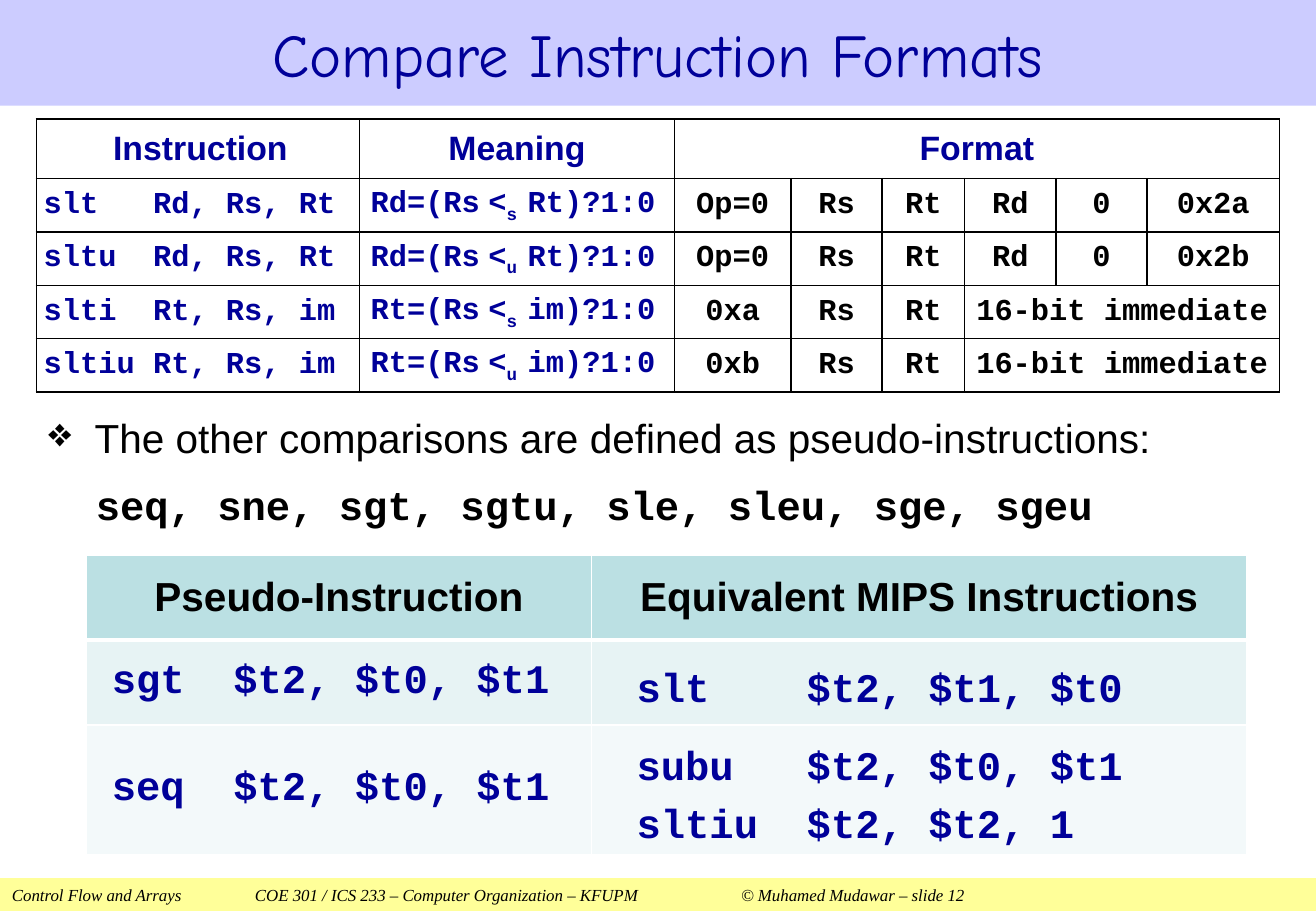
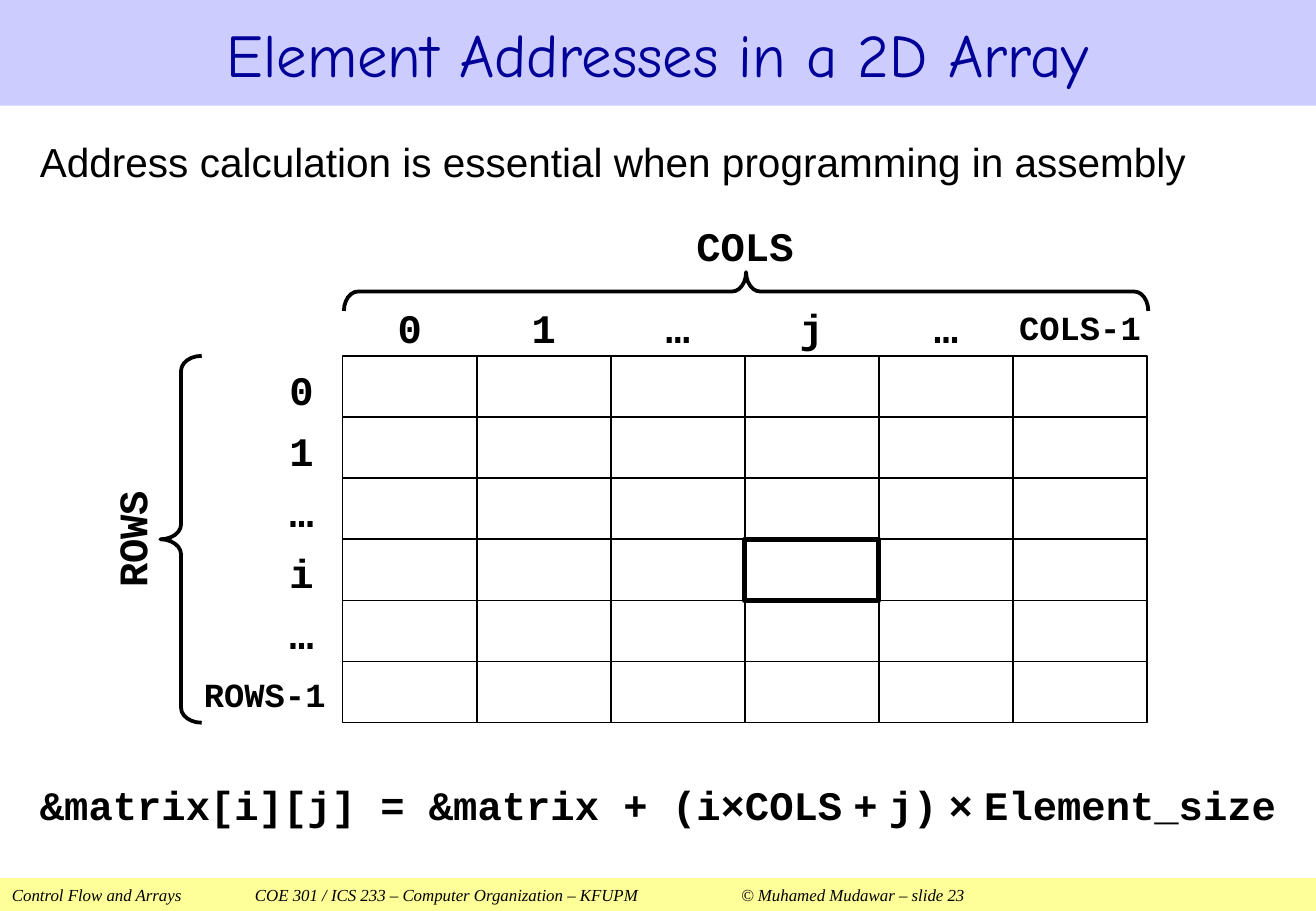
from pptx import Presentation
from pptx.dml.color import RGBColor
from pptx.enum.shapes import MSO_SHAPE
from pptx.enum.text import MSO_ANCHOR, PP_ALIGN
from pptx.oxml.xmlchemy import OxmlElement
from pptx.util import Inches, Pt

# Shared look
WIDTH, HEIGHT = 10.83, 7.5
COLORS = {"navy": "000099", "black": "000000", "white": "FFFFFF",
          "title band": "CCCCFF", "footer band": "FFFF99",
          "header": "BBE0E3", "odd row": "E7F3F4", "even row": "F3F9FA"}
SANS, CODE, TITLE, SERIF = "Arial", "Courier New", "Comic Neue", "Times New Roman"
LEFT, CENTER, RIGHT = PP_ALIGN.LEFT, PP_ALIGN.CENTER, PP_ALIGN.RIGHT
LEADING = 1.1
FOOTER = "Control Flow and Arrays\tCOE 301 / ICS 233 – Computer Organization – KFUPM\t© Muhamed Mudawar – slide {}"
FOOTER_TABS = (2, 6)

# Slide 12: the last entry of a row spans the columns that remain
FORMAT_COLUMNS = (2.66, 2.59, 0.96, 0.75, 0.68, 0.75, 0.75, 1.09)
FORMAT_ROWS = (0.49, 0.44, 0.44, 0.44, 0.44)
FORMAT_HEADER = ["Instruction", "Meaning", "Format"]
FORMATS = [
    ("slt   Rd, Rs, Rt", ("Rd=(Rs", "s ", "Rt)?1:0"), ["Op=0", "Rs", "Rt", "Rd", "0", "0x2a"]),
    ("sltu  Rd, Rs, Rt", ("Rd=(Rs", "u ", "Rt)?1:0"), ["Op=0", "Rs", "Rt", "Rd", "0", "0x2b"]),
    ("slti  Rt, Rs, im", ("Rt=(Rs", "s ", "im)?1:0"), ["0xa", "Rs", "Rt", "16-bit immediate"]),
    ("sltiu Rt, Rs, im", ("Rt=(Rs", "u ", "im)?1:0"), ["0xb", "Rs", "Rt", "16-bit immediate"]),
]
PSEUDO_COLUMNS, PSEUDO_ROWS = (4.16, 5.39), (0.7, 0.7, 1.07)
PSEUDO_HEADER = ["Pseudo-Instruction", "Equivalent MIPS Instructions"]
PSEUDO = ["sgt  $t2, $t0, $t1", "seq  $t2, $t0, $t1"]
EQUIVALENTS = [(5.36, 0.5, ["slt    $t2, $t1, $t0"]),
               (6, 0.95, ["subu   $t2, $t0, $t1", "sltiu  $t2, $t2, 1"])]
OTHERS = ["The other comparisons are defined as pseudo-instructions:",
          "seq, sne, sgt, sgtu, sle, sleu, sge, sgeu"]

# Slide 23
INTRO = "Address calculation is essential when programming in assembly"
FORMULA = ["&matrix[i][j] = &matrix + (i×COLS", " ", "+", " ", "j)", " ", "×", " ", "Element_size"]
COLUMN_LABELS = ["0", "1", "…", "j", "…", "COLS-1"]
ROW_LABELS = ["0", "1", "…", "i", "…", "ROWS-1"]
GRID = (2.82, 2.93, 6.62, 3.02)
ROW_LABEL_LEFT, ROW_LABEL_WIDTH = 1.66, 1.02


def color(name):
    return RGBColor.from_string(COLORS[name])


def style(paragraph, size, font, ink, bold=False, italic=False):
    for run in paragraph.runs:
        run.font.size, run.font.name = Pt(size), font
        run.font.bold, run.font.italic = bold, italic
        run.font.color.rgb = color(ink)


def set_margins(target, margins):
    (target.margin_left, target.margin_top,
     target.margin_right, target.margin_bottom) = map(Inches, margins)


def write(frame, lines, size, font, ink="black", bold=False, italic=False,
          align=LEFT, anchor=MSO_ANCHOR.TOP, margins=(0.1, 0.05, 0.1, 0.05),
          gap=0, leading=LEADING):
    frame.word_wrap = True
    frame.vertical_anchor = anchor
    set_margins(frame, margins)
    for number, line in enumerate(lines):
        paragraph = frame.add_paragraph() if number else frame.paragraphs[0]
        paragraph.text = line
        paragraph.alignment = align
        paragraph.line_spacing = leading
        if number:
            paragraph.space_before = Pt(gap)
        style(paragraph, size, font, ink, bold, italic)


def add_box(slide, at, fill=None, line=0, kind=MSO_SHAPE.RECTANGLE):
    shape = slide.shapes.add_shape(kind, *map(Inches, at))
    shape.shadow.inherit = False
    if fill:
        shape.fill.solid()
        shape.fill.fore_color.rgb = color(fill)
    else:
        shape.fill.background()
    if line:
        shape.line.width = Pt(line)
        shape.line.color.rgb = color("black")
    else:
        shape.line.fill.background()
    return shape


def add_text(slide, at, lines, *looks, **options):
    frame = slide.shapes.add_textbox(*map(Inches, at)).text_frame
    write(frame, lines, *looks, **options)
    return frame


def add_tabs(paragraph, stops):
    tabs = OxmlElement("a:tabLst")
    for stop in stops:
        tab = OxmlElement("a:tab")
        tab.set("pos", str(Inches(stop)))
        tab.set("algn", "l")
        tabs.append(tab)
    paragraph._p.get_or_add_pPr().append(tabs)


def add_bullet(paragraph, symbol, indent):
    properties = paragraph._p.get_or_add_pPr()
    properties.set("marL", str(Inches(indent)))
    properties.set("indent", str(-Inches(indent)))
    bullet = OxmlElement("a:buChar")
    bullet.set("char", symbol)
    properties.append(bullet)


def start_slide(presentation, title, number):
    slide = presentation.slides.add_slide(presentation.slide_layouts[6])
    footer = add_box(slide, (0, 7.23, WIDTH, 0.27), "footer band").text_frame
    write(footer, [FOOTER.format(number)], 10, SERIF, italic=True,
          anchor=MSO_ANCHOR.MIDDLE, leading=1)
    add_tabs(footer.paragraphs[0], FOOTER_TABS)
    band = add_box(slide, (0, 0, WIDTH, 0.87), "title band")
    write(band.text_frame, [title], 36, TITLE, "navy", align=CENTER,
          anchor=MSO_ANCHOR.MIDDLE, leading=1)
    return slide


# Tables
def add_table(slide, left, top, columns, rows):
    frame = slide.shapes.add_table(len(rows), len(columns), Inches(left), Inches(top),
                                   Inches(sum(columns)), Inches(sum(rows)))
    table = frame.table
    table.first_row = table.horz_banding = False
    for column, width in zip(table.columns, columns):
        column.width = Inches(width)
    for row, height in zip(table.rows, rows):
        row.height = Inches(height)
    return table


def dress_cell(cell, fill, border, top=1, bottom=1):
    if fill:
        cell.fill.solid()
        cell.fill.fore_color.rgb = color(fill)
    else:
        cell.fill.background()
    edges = (("a:lnL", 1), ("a:lnR", 1), ("a:lnT", top), ("a:lnB", bottom))
    for position, (tag, width) in enumerate(edges):
        edge, solid, tint = map(OxmlElement, (tag, "a:solidFill", "a:srgbClr"))
        edge.set("w", str(Pt(width)))
        tint.set("val", COLORS[border])
        solid.append(tint)
        edge.append(solid)
        cell._tc.get_or_add_tcPr().insert(position, edge)


def write_cell(cell, text, margins, size, font, ink, align=LEFT):
    cell.vertical_anchor = MSO_ANCHOR.MIDDLE
    set_margins(cell, margins)
    paragraph = cell.text_frame.paragraphs[0]
    paragraph.alignment = align
    if isinstance(text, str):
        paragraph.text = text
        style(paragraph, size, font, ink, True)
        return
    before, subscript, after = text
    for part in (before, " ", "<", subscript, after):
        paragraph.add_run().text = part
    style(paragraph, size, font, ink, True)
    paragraph.runs[1].font.name = SANS
    paragraph.runs[3].font._element.set("baseline", "-25000")


def add_format_table(slide):
    table = add_table(slide, 0.3, 0.98, FORMAT_COLUMNS, FORMAT_ROWS)
    for cell in table.iter_cells():
        dress_cell(cell, None, "black")
    rows = [FORMAT_HEADER] + [[code, meaning, *fields] for code, meaning, fields in FORMATS]
    last = len(FORMAT_COLUMNS) - 1
    for row, texts in enumerate(rows):
        if len(texts) <= last:
            table.cell(row, len(texts) - 1).merge(table.cell(row, last))
        for column, text in enumerate(texts):
            inset = 0.06 if column == 0 else 0.09 if column == 1 and row else 0.02
            size, font = (18, CODE) if row else (20, SANS)
            write_cell(table.cell(row, column), text, (inset, 0.02, 0.02, 0.02), size, font,
                       "black" if row and column > 1 else "navy",
                       LEFT if row and column < 2 else CENTER)


def add_pseudo_table(slide):
    table = add_table(slide, 0.71, 4.57, PSEUDO_COLUMNS, PSEUDO_ROWS)
    for row, fill in enumerate(("header", "odd row", "even row")):
        for column in range(len(PSEUDO_COLUMNS)):
            dress_cell(table.cell(row, column), fill, "white",
                       top=3 if row == 1 else 1, bottom=1 if row else 3)
    for column, text in enumerate(PSEUDO_HEADER):
        write_cell(table.cell(0, column), text, (0.11, 0.05, 0.11, 0.05), 24, SANS, "black", CENTER)
    for row, text in enumerate(PSEUDO, 1):
        write_cell(table.cell(row, 0), text, (0.21, 0.05, 0.11, 0.05), 24, CODE, "navy")
    for top, height, lines in EQUIVALENTS:
        add_text(slide, (5.14, top, 4.37, height), lines, 24, CODE, "navy", True, gap=3)


def build_formats(presentation):
    slide = start_slide(presentation, "Compare Instruction Formats", 12)
    body = add_text(slide, (0.3, 3.31, 10.24, 1.07), OTHERS, 24, SANS, gap=8)
    comparisons, names = body.paragraphs
    add_bullet(comparisons, "❖", 0.38)
    names._p.get_or_add_pPr().set("marL", str(Inches(0.39)))
    style(names, 24, CODE, "black", True)
    add_format_table(slide)
    add_pseudo_table(slide)


# Array diagram
def add_label(slide, at, text, align):
    short = len(text) == 1
    side = 0.1 if short else 0
    write(add_box(slide, at, "white").text_frame, [text], 24 if short else 20, CODE, bold=True,
          align=align, anchor=MSO_ANCHOR.MIDDLE, margins=(side, 0.05, side, 0.05))


def add_brace(slide, at, kind, rotation=0):
    brace = add_box(slide, at, line=2.25, kind=kind)
    brace.adjustments[0], brace.adjustments[1] = 0.363, 0.5
    brace.rotation = rotation


def build_array(presentation):
    slide = start_slide(presentation, "Element Addresses in a 2D Array", 23)
    add_text(slide, (0.23, 1.04, 10.58, 0.57), [INTRO], 24, SANS)
    formula = add_text(slide, (0.23, 6.33, 10.58, 0.57), [""], 24, CODE).paragraphs[0]
    for part in FORMULA:
        formula.add_run().text = part
    style(formula, 24, CODE, "black", True)
    for run in formula.runs:
        if run.text == " ":
            run.font.name = SANS

    left, top, width, height = GRID
    cell_width, cell_height = width / len(COLUMN_LABELS), height / len(ROW_LABELS)
    for row, text in enumerate(ROW_LABELS):
        add_label(slide, (ROW_LABEL_LEFT, top + row * cell_height, ROW_LABEL_WIDTH, cell_height),
                  text, RIGHT)
    for column, text in enumerate(COLUMN_LABELS):
        add_label(slide, (left + column * cell_width, top - cell_height, cell_width, cell_height),
                  text, CENTER)

    # The chosen cell comes last, so its heavy outline stays on top
    chosen = (ROW_LABELS.index("i"), COLUMN_LABELS.index("j"))
    cells = [(row, column) for row in range(len(ROW_LABELS)) for column in range(len(COLUMN_LABELS))]
    for row, column in sorted(cells, key=lambda cell: cell == chosen):
        add_box(slide, (left + column * cell_width, top + row * cell_height, cell_width, cell_height),
                "white", 3 if (row, column) == chosen else 1)

    # Braces and their names
    columns_name = add_box(slide, (left, 1.73, width, 0.66), "white")
    write(columns_name.text_frame, ["COLS"], 24, CODE, bold=True, align=CENTER)
    rows_name = add_box(slide, (0.84, top, 0.82, height), "white")
    write(rows_name.text_frame, ["ROWS"], 24, CODE, bold=True, align=CENTER,
          margins=(0, 0.05, 0.1, 0.05))
    rows_name.text_frame._txBody.bodyPr.set("vert", "vert270")
    add_brace(slide, (1.32, top, 0.34, height), MSO_SHAPE.LEFT_BRACE)
    add_brace(slide, (5.98, -0.91, 0.32, width), MSO_SHAPE.RIGHT_BRACE, 270)


def main():
    presentation = Presentation()
    presentation.slide_width, presentation.slide_height = Inches(WIDTH), Inches(HEIGHT)
    build_formats(presentation)
    build_array(presentation)
    presentation.save("out.pptx")


if __name__ == "__main__":
    main()
